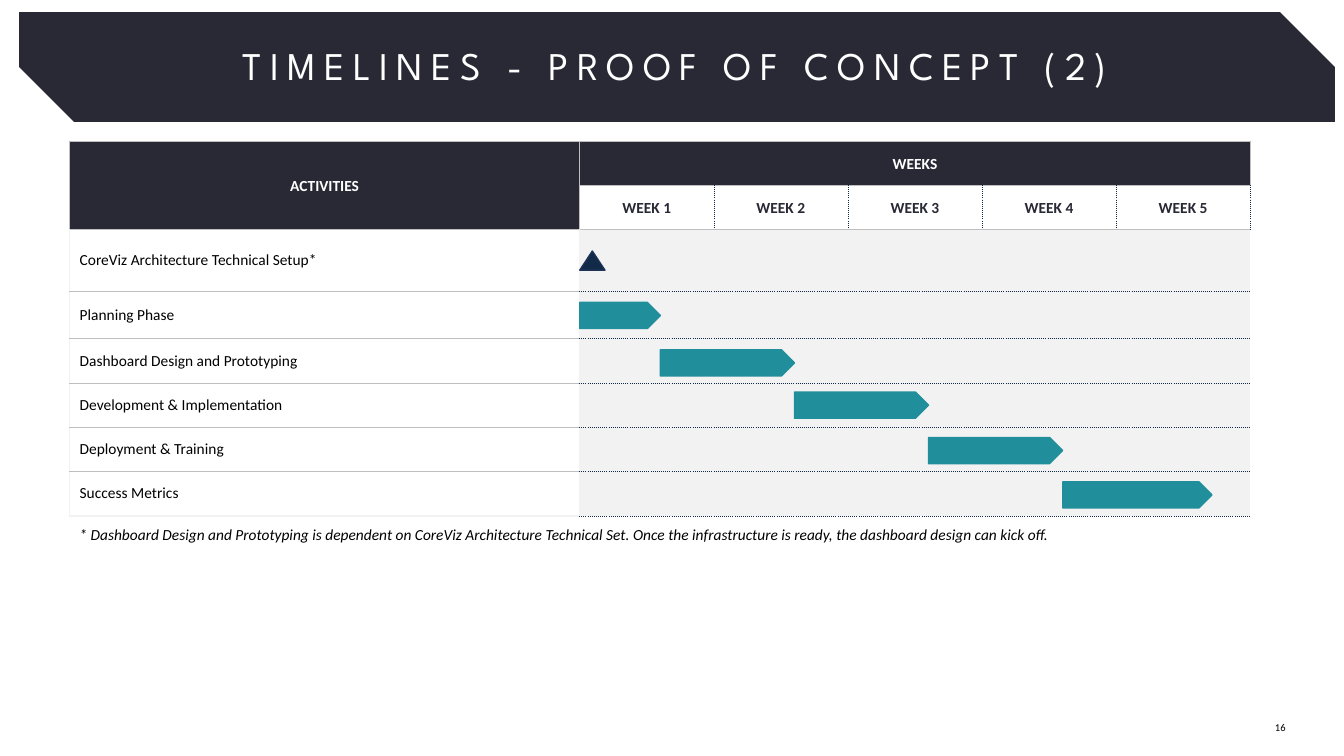
import pptx
import pptx.util
import pptx.dml.color
import pptx.enum.shapes
import pptx.enum.text
import pptx.oxml
import pptx.oxml.ns
import lxml.etree

Inches = pptx.util.Inches
Pt = pptx.util.Pt
RGBColor = pptx.dml.color.RGBColor
SHAPE = pptx.enum.shapes.MSO_SHAPE
ALIGN = pptx.enum.text.PP_ALIGN
ANCHOR = pptx.enum.text.MSO_ANCHOR
qn = pptx.oxml.ns.qn

DARK = RGBColor(0x29, 0x29, 0x36)
NAVY = RGBColor(0x11, 0x2A, 0x48)
NAVY_EDGE = RGBColor(0x1E, 0x32, 0x56)
TEAL = RGBColor(0x20, 0x8E, 0x9B)
PALE = RGBColor(0xF2, 0xF2, 0xF2)
GREY = RGBColor(0xBF, 0xBF, 0xBF)
WHITE = RGBColor(0xFF, 0xFF, 0xFF)
BLACK = RGBColor(0, 0, 0)

# Border styles: colour, width in points, dash
GREY_LINE = (GREY, 1, "solid")
THIN_LINE = (GREY, 0.5, "solid")
PALE_LINE = (PALE, 1, "solid")
DOTTED = (NAVY, 0.25, "sysDot")
NO_STYLE_TABLE = "{2D5ABB26-0587-4C30-8999-92F81FD0307C}"

WEEK_COUNT = 5
ACTIVITIES = [
    "CoreViz Architecture Technical Setup*",
    "Planning Phase",
    "Dashboard Design and Prototyping",
    "Development & Implementation",
    "Deployment & Training",
    "Success Metrics",
]
ROW_HEIGHTS = [0.44, 0.44, 0.61, 0.47, 0.44, 0.44, 0.44, 0.44]
BARS = [(3, 0.8), (3.47, 1.33), (3.89, 1.33), (4.34, 1.33), (4.78, 1.48)]  # top, width


def set_attributes(target, values):
    for name, value in values.items():
        setattr(target, name, value)


class SlideBuilder:
    def __init__(self, slide, font="Calibri", size=11):
        self.slide = slide
        self.font = font
        self.size = size

    def fill_frame(self, frame, text, color=BLACK, frame_format=None, paragraph_format=None, **font_format):
        """Fill a text frame with one formatted run."""
        set_attributes(frame, {"word_wrap": True, **(frame_format or {})})
        paragraph = frame.paragraphs[0]
        set_attributes(paragraph, paragraph_format or {})
        run = paragraph.add_run()
        run.text = text
        set_attributes(run.font, {"name": self.font, "size": Pt(self.size), **font_format})
        run.font.color.rgb = color
        return run

    def title(self, text, box):
        title = self.slide.shapes.title
        set_attributes(title, dict(zip(("left", "top", "width", "height"), map(Inches, box))))
        margins = dict.fromkeys(("margin_left", "margin_right", "margin_top", "margin_bottom"), 0)
        run = self.fill_frame(title.text_frame, text, WHITE, {**margins, "vertical_anchor": ANCHOR.MIDDLE},
                              {"alignment": ALIGN.CENTER}, name="League Spartan", size=Pt(28))
        run.font._element.set("spc", "600")

    def text(self, text, box, alignment=ALIGN.LEFT, **font_format):
        text_box = self.slide.shapes.add_textbox(*map(Inches, box))
        self.fill_frame(text_box.text_frame, text, paragraph_format={"alignment": alignment}, **font_format)

    def shape(self, kind, box, fill, line=None):
        shape = self.slide.shapes.add_shape(kind, *map(Inches, box))
        shape.shadow.inherit = False
        shape.fill.solid()
        shape.fill.fore_color.rgb = fill
        if line is None:
            shape.line.fill.background()
        else:
            shape.line.color.rgb = line
            shape.line.width = Pt(1)
        return shape

    def table(self, left, top, widths, heights):
        frame = self.slide.shapes.add_table(len(heights), len(widths), Inches(left), Inches(top),
                                            Inches(sum(widths)), Inches(sum(heights)))
        table = frame.table
        set_attributes(table, {"first_row": False, "horz_banding": False})
        table._tbl.tblPr.find(qn("a:tableStyleId")).text = NO_STYLE_TABLE
        for column, width in zip(table.columns, widths):
            column.width = Inches(width)
        for row, height in zip(table.rows, heights):
            row.height = Inches(height)
        return table

    def cell(self, cell, fill=None, **borders):
        """Set the fill and the borders L, R, T and B of a cell."""
        if fill is None:
            cell.fill.background()
        else:
            cell.fill.solid()
            cell.fill.fore_color.rgb = fill
        properties = cell._tc.get_or_add_tcPr()
        sides = [side for side in "LRTB" if side in borders]
        for index, side in enumerate(sides):
            color, width, dash = borders[side]
            line = lxml.etree.Element(qn(f"a:ln{side}"), w=str(Pt(width)))
            solid = lxml.etree.SubElement(line, qn("a:solidFill"))
            lxml.etree.SubElement(solid, qn("a:srgbClr"), val=str(color))
            lxml.etree.SubElement(line, qn("a:prstDash"), val=dash)
            properties.insert(index, line)

    def header(self, cell, text, color):
        set_attributes(cell, {"margin_left": Inches(0.01), "margin_right": Inches(0.01),
                              "margin_top": Inches(0.01), "margin_bottom": 0,
                              "vertical_anchor": ANCHOR.MIDDLE})
        self.fill_frame(cell.text_frame, text, color, paragraph_format={"alignment": ALIGN.CENTER}, bold=True)


def build_schedule(builder):
    table = builder.table(0.69, 1.4, [5.06] + [1.33] * WEEK_COUNT, ROW_HEIGHTS)

    # Header rows
    table.cell(0, 0).merge(table.cell(1, 0))
    table.cell(0, 1).merge(table.cell(0, WEEK_COUNT))
    for row, column in [(0, column) for column in range(WEEK_COUNT + 1)] + [(1, 0)]:
        builder.cell(table.cell(row, column), DARK, **dict.fromkeys("LRTB", GREY_LINE))
    builder.header(table.cell(0, 0), "ACTIVITIES", WHITE)
    builder.header(table.cell(0, 1), "WEEKS", WHITE)
    for week in range(1, WEEK_COUNT + 1):
        cell = table.cell(1, week)
        builder.cell(cell, L=GREY_LINE if week == 1 else DOTTED, R=DOTTED, T=GREY_LINE)
        builder.header(cell, f"WEEK {week}", DARK)

    # Activity rows, each with one merged timeline cell
    for row, activity in enumerate(ACTIVITIES, 2):
        first, last = row == 2, row == len(ACTIVITIES) + 1
        label = table.cell(row, 0)
        builder.cell(label, L=PALE_LINE, R=PALE_LINE, T=GREY_LINE if first else THIN_LINE,
                     B=PALE_LINE if last else THIN_LINE)
        label.vertical_anchor = ANCHOR.MIDDLE
        builder.fill_frame(label.text_frame, activity, paragraph_format={"line_spacing": Pt(13.5)})
        table.cell(row, 1).merge(table.cell(row, WEEK_COUNT))
        for column in range(1, WEEK_COUNT + 1):
            top = {} if first else {"T": DOTTED}
            builder.cell(table.cell(row, column), PALE, L=PALE_LINE, B=DOTTED, **top)


def main():
    presentation = pptx.Presentation()
    presentation.slide_width = Inches(13.33)
    presentation.slide_height = Inches(7.5)
    slide = presentation.slides.add_slide(presentation.slide_layouts[5])
    builder = SlideBuilder(slide)

    # Title on its banner
    builder.title("TIMELINES - PROOF OF CONCEPT (2)", (0.17, 0.41, 13.05, 0.47))
    banner = builder.shape(SHAPE.SNIP_2_DIAG_RECTANGLE, (0.19, 0.12, 13.05, 1.09), DARK)
    banner.adjustments[0] = 0
    banner.adjustments[1] = 0.5
    slide.shapes.title._element.addprevious(banner._element)

    # Slide number
    builder.text("16", (10.92, 7.1, 1.93, 0.15), ALIGN.RIGHT, size=Pt(7.5))

    # Schedule with its bars end to end
    build_schedule(builder)
    left = 5.75
    for top, width in BARS:
        builder.shape(SHAPE.PENTAGON, (left, top, width, 0.26), TEAL, TEAL)
        left += width
    builder.shape(SHAPE.ISOSCELES_TRIANGLE, (5.75, 2.49, 0.25, 0.19), NAVY, NAVY_EDGE)

    # Footnote
    builder.text("* Dashboard Design and Prototyping is dependent on CoreViz Architecture Technical Set. "
                 "Once the infrastructure is ready, the dashboard design can kick off.",
                 (0.69, 5.16, 11.94, 0.29), italic=True)

    presentation.save("out.pptx")


if __name__ == "__main__":
    main()
